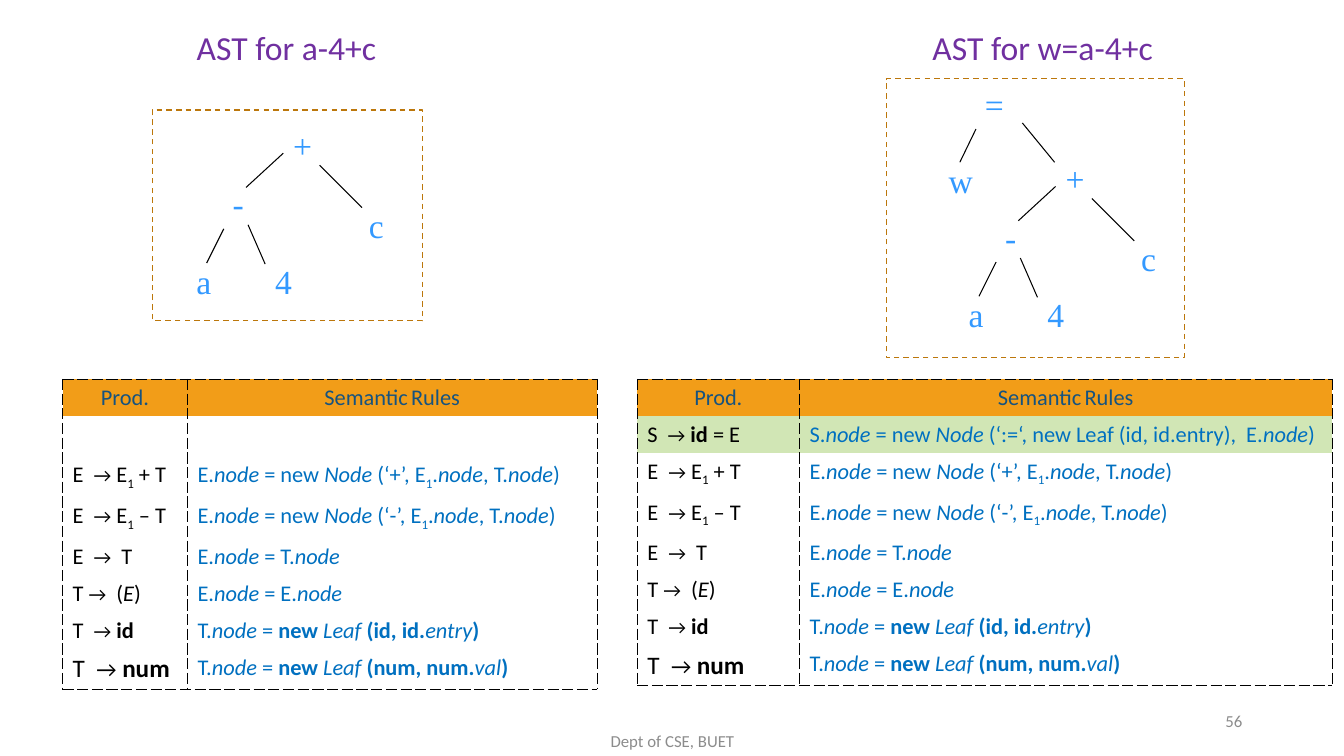
import pptx
import pptx.util
import pptx.dml.color
import pptx.enum.dml
import pptx.enum.shapes
import pptx.enum.text
import pptx.oxml
import pptx.oxml.ns

Inch, Pt = pptx.util.Inches, pptx.util.Pt
ALIGN = pptx.enum.text.PP_ALIGN
ANCHOR = pptx.enum.text.MSO_ANCHOR
BLUE, BLACK, GREY, PURPLE = "0070C0", "000000", "8C8C8C", "7030A0"
SKY, GOLD, ORANGE, GREEN, NAVY = "3399FF", "BC770B", "F29D18", "D1E6B5", "16537F"

# Content: ~ toggles italic, ^ bold, _ subscript, | a small bold gap
TITLES = [("AST for a-4+c", 1.85), ("AST for w=a-4+c", 9.15)]
FOOTS = [("Dept of CSE, BUET", (4.42, 7.15, 4.5, 0.4), ALIGN.CENTER),
         ("56", (9.42, 6.95, 3, 0.4), ALIGN.RIGHT)]
HEAD = ("Prod.", "Semantic| |Rules", 16)
BLANK = ("", "", 18)
ASSIGN = ("S  → ^id^ = E",
          "S.~node ~= new ~Node~ (‘:=‘, new Leaf (id, id.entry),  E.~node~)", 16)
RULES = [
    ("E  → E_1_ + T", "E.~node ~= new ~Node~ (‘+’, E_1_.~node~, T.~node~)", 16),
    ("E  → E_1_ – T", "E.~node ~= new ~Node~ (‘-’, E_1_.~node~, T.~node~)", 16),
    ("E  →  T", "E.~node ~= T.~node~", 16),
    ("T →  (~E~)", "E.~node ~= E.~node~", 16),
    ("T  → ^id^", "T.~node ~= ^new ^~Leaf~^ (id, id.^~entry~^)^", 16),
    ("T  → ^num^", "T.~node ~= ^new ^~Leaf~^ (num, num.^~val~^)^", 18),
]
TABLES = [(0.62, (1.24, 4.06), BLANK), (6.32, (1.61, 5.28), ASSIGN)]
TOP = 3.76
ROWS = (0.31, 0.36, 0.36, 0.31, 0.31, 0.31, 0.31, 0.15)

# Trees: nodes (text, x, y) and edges (x1, y1, x2, y2), from the tree's origin
SUM = ([("-", 0.7, 0.68), ("+", 1.3, 0.1), ("a", 0.34, 1.45),
        ("4", 1.12, 1.45), ("c", 2.05, 0.89)],
       [(0.95, 1.14, 1.12, 1.53), (0.71, 1.18, 0.54, 1.52),
        (1.3, 0.43, 0.93, 0.77), (1.66, 0.55, 2.08, 0.97)])
ROOT = ([("=", 0.5, -0.64), ("w", 0.14, 0.12)],
        [(0.51, -0.14, 0.35, 0.19), (0.97, -0.2, 1.29, 0.19)])
TREES = [((1.51, 1.09), [SUM]), ((9.17, 1.42), [SUM, ROOT])]
FRAMES = [(1.51, 1.09, 2.68, 2.09), (8.79, 0.78, 2.96, 2.77)]


def rgb(code):
    return pptx.dml.color.RGBColor.from_string(code)


def add_run(para, text, size, color, face="Calibri"):
    run = para.add_run()
    run.text = text
    run.font.size, run.font.name = Pt(size), face
    run.font.color.rgb = rgb(color)
    return run


def add_rich(para, text, size, color):
    on, part = set(), ""

    def flush():
        if part:
            small = 10.5 if "|" in on else size - 2 if part == "→" else size
            run = add_run(para, part, small, color)
            run.font.bold = bool(on & {"^", "|"})
            run.font.italic = "~" in on
            if "_" in on:
                run.font._element.set("baseline", "-25000")

    for char in text:
        if char in "~^_|":
            flush()
            on, part = on ^ {char}, ""
        elif char == "→":
            flush()
            part = char
            flush()
            part = ""
        else:
            part += char
    flush()


def add_box(shapes, at, text, size, color, face="Calibri",
            align=ALIGN.LEFT, wrap=True, anchor=ANCHOR.TOP):
    frame = shapes.add_textbox(*map(Inch, at)).text_frame
    frame.word_wrap, frame.vertical_anchor = wrap, anchor
    para = frame.paragraphs[0]
    para.alignment = align
    add_run(para, text, size, color, face)


def add_edge(cell, sides):
    for side in sides:
        cell._tc.get_or_add_tcPr().append(pptx.oxml.parse_xml(
            f'<a:ln{side} {pptx.oxml.ns.nsdecls("a")} w="3175"><a:solidFill>'
            f'<a:srgbClr val="{BLACK}"/></a:solidFill>'
            f'<a:prstDash val="sysDash"/></a:ln{side}>'))


def add_rules(shapes, left, cols, extra):
    rows = [HEAD, extra] + RULES
    spot = map(Inch, (left, TOP, sum(cols), sum(ROWS)))
    table = shapes.add_table(len(rows), len(cols), *spot).table
    table.first_row = table.horz_banding = False
    # Plain style without grid lines
    style = table._tbl.tblPr.find(pptx.oxml.ns.qn("a:tableStyleId"))
    style.text = "{2D5ABB26-0587-4C30-8999-92F81FD0307C}"
    for i, width in enumerate(cols):
        table.columns[i].width = Inch(width)
    for r, (prod, rule, size) in enumerate(rows):
        table.rows[r].height = Inch(ROWS[r])
        fill = ORANGE if r == 0 else GREEN if rows[r] is ASSIGN else None
        sides = "LR" + ("T" if r == 0 else "B" if r == len(rows) - 1 else "")
        for c, text in enumerate((prod, rule)):
            cell = table.cell(r, c)
            add_edge(cell, sides)
            if fill:
                cell.fill.solid()
                cell.fill.fore_color.rgb = rgb(fill)
            else:
                cell.fill.background()
            para = cell.text_frame.paragraphs[0]
            para.alignment = ALIGN.CENTER if r == 0 else ALIGN.LEFT
            color = NAVY if r == 0 else (BLACK, BLUE)[c]
            add_rich(para, text, 16 if c else size, color)


def add_tree(shapes, origin, parts):
    x, y = origin
    group = shapes.add_group_shape().shapes
    for nodes, edges in parts:
        for text, dx, dy in nodes:
            add_box(group, (x + dx, y + dy, 0.4, 0.5), text, 24, SKY,
                    "Times New Roman", wrap=False)
        for x1, y1, x2, y2 in edges:
            ends = map(Inch, (x + x1, y + y1, x + x2, y + y2))
            line = group.add_connector(
                pptx.enum.shapes.MSO_CONNECTOR.STRAIGHT, *ends)
            line.line.color.rgb = rgb(BLACK)
            line.line.width = Pt(0.75)
            line._element.spPr.append(pptx.oxml.parse_xml(
                f'<a:effectLst {pptx.oxml.ns.nsdecls("a")}/>'))


def main():
    deck = pptx.Presentation()
    deck.slide_width, deck.slide_height = Inch(13.33), Inch(7.5)
    slide = deck.slides.add_slide(deck.slide_layouts[5])
    shapes = slide.shapes

    # Titles
    (first, left), (second, right) = TITLES
    title = shapes.title
    title.left, title.top, title.width, title.height = map(
        Inch, (left, 0.22, 4.59, 0.5))
    title.text_frame.vertical_anchor = ANCHOR.TOP
    para = title.text_frame.paragraphs[0]
    para.alignment = ALIGN.LEFT
    add_run(para, first, 24, PURPLE)
    add_box(shapes, (right, 0.22, 4.59, 0.5), second, 24, PURPLE)

    # Footer and page number
    for text, at, align in FOOTS:
        add_box(shapes, at, text, 12, GREY, align=align, anchor=ANCHOR.MIDDLE)

    # Rule tables and syntax trees
    for left, cols, extra in TABLES:
        add_rules(shapes, left, cols, extra)
    for origin, parts in TREES:
        add_tree(shapes, origin, parts)

    # Dashed frames
    for at in FRAMES:
        frame = shapes.add_shape(
            pptx.enum.shapes.MSO_SHAPE.RECTANGLE, *map(Inch, at))
        frame.shadow.inherit = False
        frame.fill.background()
        frame.line.color.rgb = rgb(GOLD)
        frame.line.width = Pt(1)
        frame.line.dash_style = pptx.enum.dml.MSO_LINE.DASH

    deck.save("out.pptx")


if __name__ == "__main__":
    main()
